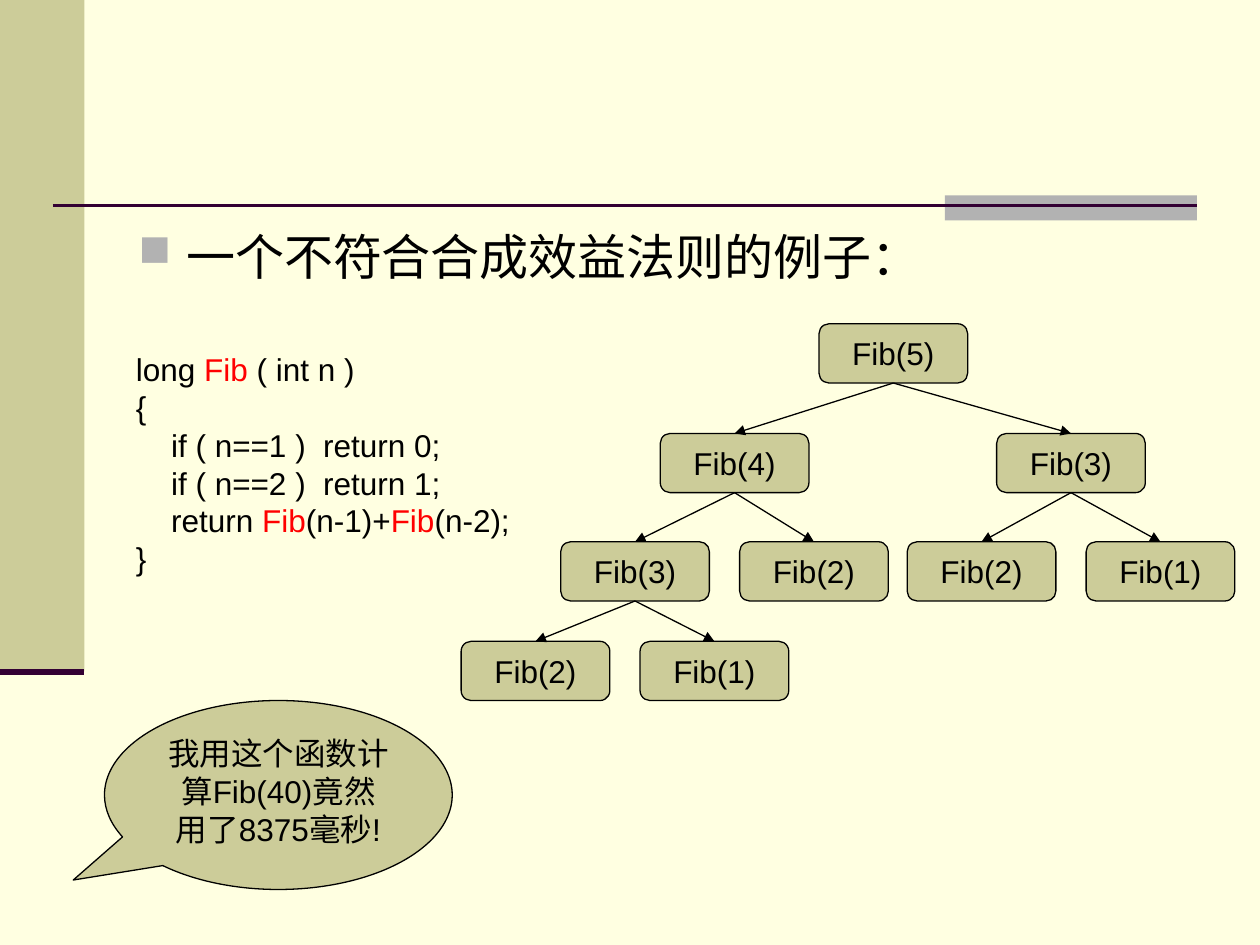
from lxml import etree
from pptx import Presentation
from pptx.dml.color import RGBColor
from pptx.enum import shapes, text
from pptx.oxml.ns import qn
from pptx.util import Inches, Pt

COLORS = {"bg": "FFFFE1", "khaki": "CCCC99", "gray": "B2B2B2",
          "plum": "330033", "black": "000000", "red": "FF0000"}
FONT = "Arial"

HEADING = "一个不符合合成效益法则的例子："
REMARK = "我用这个函数计算Fib(40)竟然用了8375毫秒!"
KEYWORD = "Fib"
CODE = [  # indent level, line
    (0, "long Fib ( int n )"),
    (0, "{"),
    (1, "if ( n==1 )  return 0;"),
    (1, "if ( n==2 )  return 1;"),
    (1, "return Fib(n-1)+Fib(n-2);"),
    (0, "}"),
]
CODE_INDENT = 0.28

# Call tree: argument of Fib, left edge, children
TREE = (5, 6.5, [
    (4, 5.24, [
        (3, 4.45, [(2, 3.66, []), (1, 5.08, [])]),
        (2, 5.87, []),
    ]),
    (3, 7.91, [(2, 7.2, []), (1, 8.62, [])]),
])
LEVEL_TOPS = [2.57, 3.44, 4.3, 5.09]
NODE_W, NODE_H = 1.18, 0.47

prs = Presentation()
prs.slide_width, prs.slide_height = Inches(10), Inches(7.5)
s = prs.slides.add_slide(prs.slide_layouts[6])


def rgb(name):
    return RGBColor.from_string(COLORS[name])


def add_text(p, content, size=18, color="black", align=None):
    r = p.add_run()
    r.text = content
    r.font.name, r.font.size = FONT, Pt(size)
    r.font.color.rgb = rgb(color)
    if align is not None:
        p.alignment = align


def add_shape(kind, left, top, width, height, fill, outlined=False):
    sp = s.shapes.add_shape(kind, *map(Inches, (left, top, width, height)))
    sp.shadow.inherit = False
    sp.fill.solid()
    sp.fill.fore_color.rgb = rgb(fill)
    if outlined:
        sp.line.color.rgb = rgb("black")
        sp.line.width = Pt(0.75)
    else:
        sp.line.fill.background()
    return sp


def add_line(start, end, color="black", width=0.75, arrow=False):
    line = s.shapes.add_connector(shapes.MSO_CONNECTOR.STRAIGHT,
                                  *map(Inches, (*start, *end)))
    line.line.color.rgb = rgb(color)
    line.line.width = Pt(width)
    if arrow:
        etree.SubElement(line.line._get_or_add_ln(), qn("a:tailEnd"), type="triangle")
    etree.SubElement(line._element.spPr, qn("a:effectLst"))


def add_textbox(left, top, width, height):
    tf = s.shapes.add_textbox(*map(Inches, (left, top, width, height))).text_frame
    tf.word_wrap = True
    return tf


def set_indent(p, left, first=0):
    pPr = p._p.get_or_add_pPr()
    pPr.set("marL", str(Inches(left)))
    pPr.set("indent", str(Inches(first)))
    return pPr


def add_background():
    s.background.fill.solid()
    s.background.fill.fore_color.rgb = rgb("bg")
    rect = shapes.MSO_SHAPE.RECTANGLE
    add_shape(rect, 0, 0, 0.67, 5.33, "khaki")
    add_shape(rect, 7.5, 1.55, 2, 0.2, "gray")
    add_line((0.42, 1.63), (9.5, 1.63), "plum", 1.5)
    add_line((0, 5.33), (0.67, 5.33), "plum", 3.5)


def add_heading():
    p = add_textbox(1, 1.75, 8.5, 4.95).paragraphs[0]
    p.space_before = Pt(7)
    pPr = set_indent(p, 0.38, -0.38)
    bullet_color = etree.SubElement(pPr, qn("a:buClr"))
    etree.SubElement(bullet_color, qn("a:srgbClr"), val=COLORS["gray"])
    etree.SubElement(pPr, qn("a:buSzPct"), val="90000")
    etree.SubElement(pPr, qn("a:buChar"), char="■")
    add_text(p, HEADING, size=28)


def add_code():
    """Write the function, with each call name in red."""
    tf = add_textbox(0.98, 2.73, 3.54, 1.9)
    for i, (level, line) in enumerate(CODE):
        p = tf.add_paragraph() if i else tf.paragraphs[0]
        set_indent(p, level * CODE_INDENT)
        for j, part in enumerate(line.split(KEYWORD)):
            if j:
                add_text(p, KEYWORD, color="red")
            if part:
                add_text(p, part)


def add_call(node, level=0):
    """Draw a call, then its children and the arrows to them."""
    n, left, children = node
    top = LEVEL_TOPS[level]
    sp = add_shape(shapes.MSO_SHAPE.FLOWCHART_ALTERNATE_PROCESS,
                   left, top, NODE_W, NODE_H, "khaki", outlined=True)
    tf = sp.text_frame
    tf.word_wrap = False
    tf.vertical_anchor = text.MSO_ANCHOR.MIDDLE
    add_text(tf.paragraphs[0], f"Fib({n})", align=text.PP_ALIGN.CENTER)
    for child in children:
        add_call(child, level + 1)
        add_line((left + NODE_W / 2, top + NODE_H),
                 (child[1] + NODE_W / 2, LEVEL_TOPS[level + 1]), arrow=True)


def add_remark():
    sp = add_shape(shapes.MSO_SHAPE.OVAL_CALLOUT, 0.83, 5.56, 2.76, 1.5,
                   "khaki", outlined=True)
    sp.adjustments[0], sp.adjustments[1] = -0.59, 0.45
    tf = sp.text_frame
    tf.word_wrap = True
    tf.vertical_anchor = text.MSO_ANCHOR.TOP
    add_text(tf.paragraphs[0], REMARK, align=text.PP_ALIGN.CENTER)


add_background()
add_heading()
add_code()
add_call(TREE)
add_remark()
prs.save("out.pptx")
